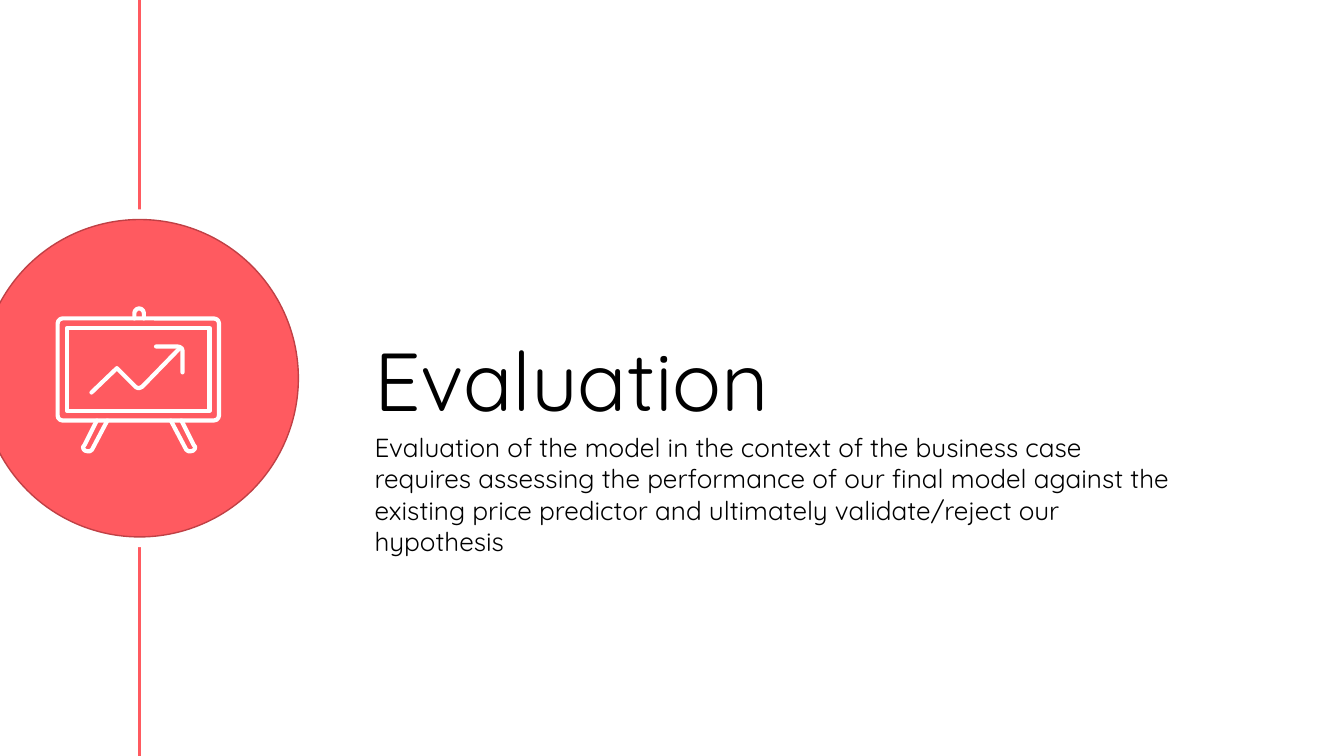
"""Build the Evaluation section slide with its circular chart-board icon."""
from lxml.etree import SubElement
from pptx import Presentation
from pptx.dml.color import RGBColor
from pptx.enum.shapes import MSO_CONNECTOR, MSO_SHAPE
from pptx.enum.text import MSO_ANCHOR, MSO_AUTO_SIZE, PP_ALIGN
from pptx.oxml.ns import qn
from pptx.util import Cm, Pt

TITLE = "Evaluation"
SUMMARY = (
    "Evaluation of the model in the context of the business case requires "
    "assessing the performance of our final model against the existing price "
    "predictor and ultimately validate/reject our hypothesis"
)
THEME = {
    "font": "Quicksand",
    "text": RGBColor.from_string("000000"),
    "accent": RGBColor.from_string("FF5A60"),
    "edge": RGBColor.from_string("C04045"),
    "white": RGBColor.from_string("FFFFFF"),
    "title_size": Pt(44),
    "body_size": Pt(14),
    "rail_width": Pt(1.5),
    "ring_width": Pt(3),
    "disc_width": Pt(0.75),
    "icon_width": Pt(2.25),
}
SLIDE_SIZE = (25.4, 14.29)
RAIL_X = 2.63
DISC_CENTRE = (2.64, 7.15)
DISCS = [
    (6.28, "white", "white", "ring_width"),
    (6.0, "accent", "edge", "disc_width"),
]
TEXTS = [
    (TITLE, (6.83, 5.54, 16.74, 3.23), "title_size", MSO_ANCHOR.MIDDLE),
    (SUMMARY, (6.83, 7.9, 15.77, 2.24), "body_size", MSO_ANCHOR.TOP),
]
BOARDS = [
    (MSO_SHAPE.ROUNDED_RECTANGLE, (1.09, 6.02, 3.05, 1.93)),
    (MSO_SHAPE.RECTANGLE, (1.27, 6.2, 2.69, 1.57)),
]
HUNDREDTH = Cm(0.01)
AXIS = 263
HOOK = [(272, 602), (272, 592), (271, 588), (267, 584), (263, 583),
        (259, 584), (255, 588), (254, 592), (254, 602)]
LEFT_LEG = [(183, 795), (160, 841), (157, 845), (158, 849), (161, 852),
            (165, 853), (170, 853), (174, 850), (203, 795)]
RIGHT_LEG = [(2 * AXIS - x, y) for x, y in LEFT_LEG]
TREND = [(340, 658), (269, 731), (265, 733), (262, 734), (257, 732),
         (221, 696), (173, 742)]
ARROW_TIP = [(295, 655), (335, 655), (340, 656), (344, 659), (345, 663),
             (345, 704)]


def place(box):
    return [Cm(length) for length in box]


def add_rail(slide):
    rail = slide.shapes.add_connector(
        MSO_CONNECTOR.STRAIGHT, *place((RAIL_X, 0, RAIL_X, SLIDE_SIZE[1])))
    rail.line.color.rgb = THEME["accent"]
    rail.line.width = THEME["rail_width"]
    SubElement(rail._element.spPr, qn("a:effectLst"))


def add_disc(slide, diameter, fill, edge, width):
    left, top = (centre - diameter / 2 for centre in DISC_CENTRE)
    disc = slide.shapes.add_shape(
        MSO_SHAPE.OVAL, *place((left, top, diameter, diameter)))
    disc.shadow.inherit = False
    disc.fill.solid()
    disc.fill.fore_color.rgb = THEME[fill]
    disc.line.color.rgb = THEME[edge]
    disc.line.width = THEME[width]


def outline(shape):
    shape.shadow.inherit = False
    shape.fill.background()
    shape.line.color.rgb = THEME["white"]
    shape.line.width = THEME["icon_width"]
    stroke = shape.line._get_or_add_ln()
    stroke.set("cap", "rnd")
    SubElement(stroke, qn("a:round"))


def add_icon(slide):
    icon = slide.shapes.add_group_shape()
    for kind, box in BOARDS:
        board = icon.shapes.add_shape(kind, *place(box))
        if kind == MSO_SHAPE.ROUNDED_RECTANGLE:
            board.adjustments[0] = 0.05
        outline(board)
    for start, *rest in (HOOK, LEFT_LEG, RIGHT_LEG, TREND, ARROW_TIP):
        stroke = icon.shapes.build_freeform(*start, scale=HUNDREDTH)
        stroke.add_line_segments(rest, close=False)
        outline(stroke.convert_to_shape())


def fill_text(placeholder, wording, box, size, anchor):
    sides = ("left", "top", "width", "height")
    for side, length in zip(sides, place(box)):
        setattr(placeholder, side, length)
    frame = placeholder.text_frame
    frame.text = wording
    paragraph = frame.paragraphs[0]
    margins = {f"margin_{side}": Cm(0.25)
               for side in ("left", "top", "right", "bottom")}
    formats = [
        (frame, {"word_wrap": True, "auto_size": MSO_AUTO_SIZE.NONE,
                 "vertical_anchor": anchor, **margins}),
        (paragraph, {"alignment": PP_ALIGN.LEFT, "space_before": Pt(0)}),
        (paragraph.runs[0].font, {"name": THEME["font"], "size": THEME[size]}),
        (paragraph.runs[0].font.color, {"rgb": THEME["text"]}),
    ]
    for target, values in formats:
        for attribute, value in values.items():
            setattr(target, attribute, value)


def main():
    deck = Presentation()
    deck.slide_width, deck.slide_height = place(SLIDE_SIZE)
    slide = deck.slides.add_slide(deck.slide_layouts[0])
    add_rail(slide)
    for disc in DISCS:
        add_disc(slide, *disc)
    add_icon(slide)
    for placeholder, text in zip(slide.placeholders, TEXTS):
        fill_text(placeholder, *text)
    deck.save("out.pptx")


if __name__ == "__main__":
    main()
